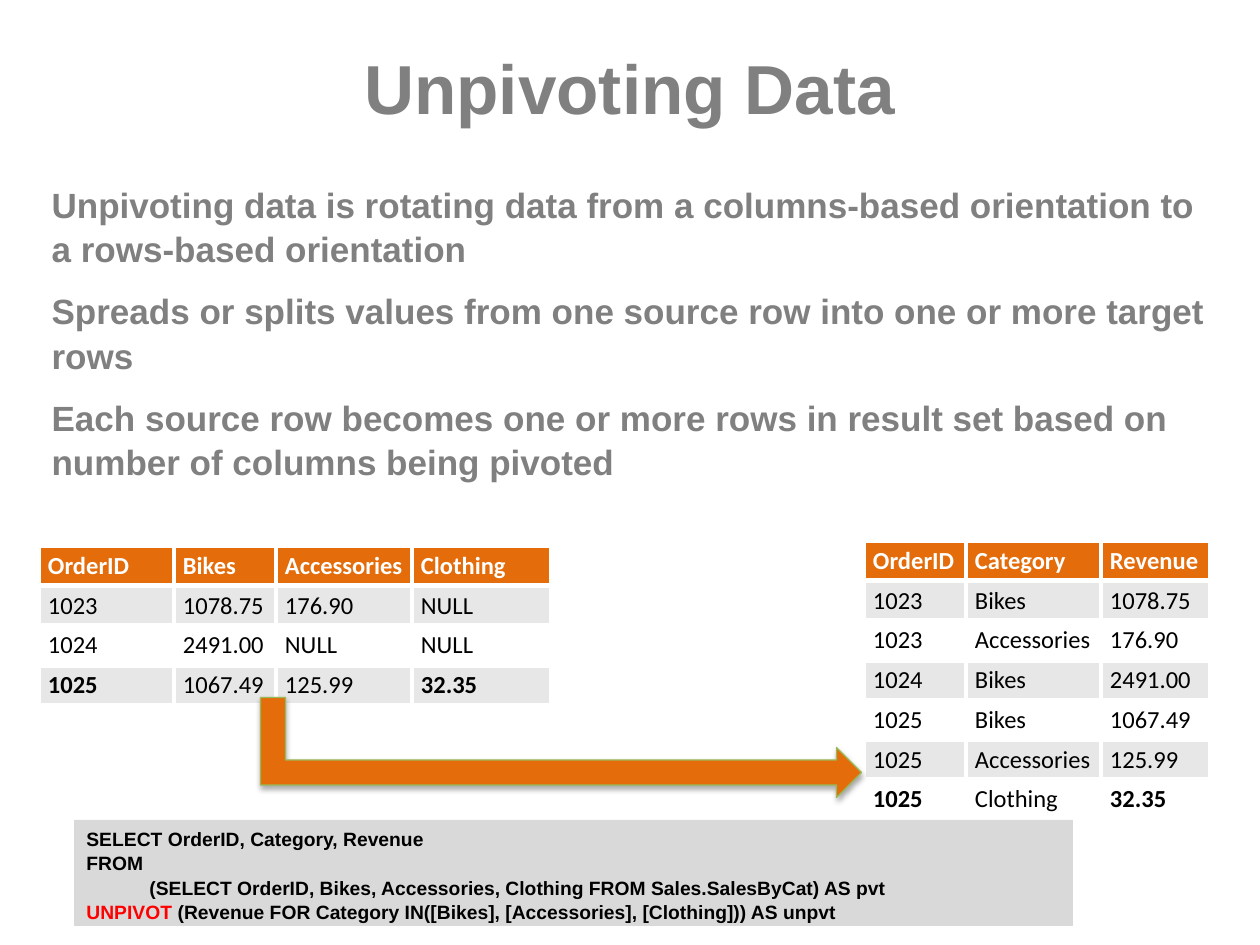
from lxml.etree import SubElement
from pptx import Presentation
from pptx.dml.color import RGBColor
from pptx.enum.shapes import MSO_SHAPE as Shape
from pptx.enum.text import MSO_ANCHOR as Anchor, MSO_AUTO_SIZE as AutoSize, PP_ALIGN as Align
from pptx.oxml.ns import qn
from pptx.util import Pt

EMU_PER_PX = 914400 / 126
GRAY, ORANGE, BAND, WHITE, BLACK, RED = "808080", "E46C0A", "E7E7E7", "FFFFFF", "000000", "FF0000"
CODE_FILL, ARROW_LINE = "D9D9D9", "98B955"


def px(length):
    return round(length * EMU_PER_PX)


def color(hex_string):
    return RGBColor.from_string(hex_string)


def add_color(parent, hex_string):
    fill = SubElement(parent, qn("a:solidFill"))
    SubElement(fill, qn("a:srgbClr"), val=hex_string)


def write(para, text, *, size, font="Arial", ink=BLACK, bold=True):
    span = para.add_run()
    span.text = text
    span.font.size, span.font.name, span.font.bold = Pt(size), font, bold
    span.font.color.rgb = color(ink)


class SlideBuilder:
    """Holds the current slide and the shared style of its elements."""

    line_spacing = 1.05
    row_height = 39
    cell_inset_x, cell_inset_y = 9, 5
    border_width = Pt(3)

    def __init__(self, slide):
        self.slide = slide

    def place(self, shape, left, top, width, height):
        shape.left, shape.top = px(left), px(top)
        shape.width, shape.height = px(width), px(height)

    def title(self, text, *bounds):
        box = self.slide.shapes.title
        self.place(box, *bounds)
        frame = box.text_frame
        frame.auto_size, frame.vertical_anchor = AutoSize.NONE, Anchor.MIDDLE
        para = frame.paragraphs[0]
        para.alignment = Align.CENTER
        write(para, text, size=39.6, ink=GRAY)

    def body(self, lines, *bounds):
        box = self.slide.placeholders[1]
        self.place(box, *bounds)
        frame = box.text_frame
        frame.auto_size, frame.vertical_anchor = AutoSize.NONE, Anchor.TOP
        for index, line in enumerate(lines):
            para = frame.add_paragraph() if index else frame.paragraphs[0]
            properties = para._p.get_or_add_pPr()
            properties.set("marL", "0")
            properties.set("indent", "0")
            SubElement(properties, qn("a:buNone"))
            para.space_before = Pt(10.5 if index else 0)
            para.line_spacing = self.line_spacing
            write(para, line, size=20, ink=GRAY)

    def table(self, rows, widths, left, top):
        """Draw a banded table whose last row has bold outer cells."""
        frame = self.slide.shapes.add_table(
            len(rows), len(widths), px(left), px(top),
            px(sum(widths)), px(self.row_height * len(rows)))
        table = frame.table
        for column, width in zip(table.columns, widths):
            column.width = px(width)
        for r, values in enumerate(rows):
            table.rows[r].height = px(self.row_height)
            header, last = r == 0, r == len(rows) - 1
            fill = ORANGE if header else BAND if r % 2 else WHITE
            for c, value in enumerate(values):
                outer = c in (0, len(values) - 1)
                cell = table.cell(r, c)
                self.format_cell(cell, fill)
                write(cell.text_frame.paragraphs[0], value, size=14, font="Calibri",
                      ink=WHITE if header else BLACK, bold=header or (last and outer))

    def format_cell(self, cell, fill):
        cell.margin_left = cell.margin_right = px(self.cell_inset_x)
        cell.margin_top = cell.margin_bottom = px(self.cell_inset_y)
        properties = cell._tc.get_or_add_tcPr()
        for side in ("lnL", "lnR", "lnT", "lnB"):
            border = SubElement(properties, qn(f"a:{side}"), w=str(self.border_width))
            add_color(border, WHITE)
        cell.fill.solid()
        cell.fill.fore_color.rgb = color(fill)

    def shape(self, kind, fill, *bounds):
        shape = self.slide.shapes.add_shape(kind, *map(px, bounds))
        shape.shadow.inherit = False
        shape.fill.solid()
        shape.fill.fore_color.rgb = color(fill)
        shape.line.fill.background()
        return shape

    def bent_arrow(self, *bounds):
        arrow = self.shape(Shape.BENT_UP_ARROW, ORANGE, *bounds)
        arrow.rotation = 90
        arrow.line.color.rgb = color(ARROW_LINE)
        arrow.line.width = Pt(0.75)
        effects = arrow._element.spPr.find(qn("a:effectLst"))
        shadow = SubElement(effects, qn("a:outerShdw"), blurRad=str(Pt(3.1)),
                            dist=str(Pt(1.8)), dir="5400000", rotWithShape="0")
        tint = SubElement(shadow, qn("a:srgbClr"), val=BLACK)
        SubElement(tint, qn("a:alpha"), val="35000")

    def code_box(self, lines, *bounds):
        """Draw code; each line is an indent in px and its (text, ink) spans."""
        frame = self.shape(Shape.RECTANGLE, CODE_FILL, *bounds).text_frame
        frame.word_wrap, frame.vertical_anchor = True, Anchor.TOP
        for index, (indent, spans) in enumerate(lines):
            para = frame.add_paragraph() if index else frame.paragraphs[0]
            para.alignment = Align.LEFT
            para.line_spacing = self.line_spacing
            para._p.get_or_add_pPr().set("marL", str(px(indent)))
            for text, ink in spans:
                write(para, text, size=11, ink=ink)


def main():
    deck = Presentation()
    deck.slide_width, deck.slide_height = px(1260), px(945)
    page = SlideBuilder(deck.slides.add_slide(deck.slide_layouts[1]))

    page.title("Unpivoting Data", 63, 38, 1134, 98)
    page.body([
        "Unpivoting data is rotating data from a columns-based orientation to a rows-based orientation",
        "Spreads or splits values from one source row into one or more target rows",
        "Each source row becomes one or more rows in result set based on number of columns being pivoted",
    ], 39, 175, 1191, 318)

    page.table([
        ("OrderID", "Category", "Revenue"),
        ("1023", "Bikes", "1078.75"),
        ("1023", "Accessories", "176.90"),
        ("1024", "Bikes", "2491.00"),
        ("1025", "Bikes", "1067.49"),
        ("1025", "Accessories", "125.99"),
        ("1025", "Clothing", "32.35"),
    ], (102, 135, 109), 864, 541)
    page.table([
        ("OrderID", "Bikes", "Accessories", "Clothing"),
        ("1023", "1078.75", "176.90", "NULL"),
        ("1024", "2491.00", "NULL", "NULL"),
        ("1025", "1067.49", "125.99", "32.35"),
    ], (135, 102, 136, 139), 39, 546)

    page.bent_arrow(511, 447, 100, 601)
    page.code_box([
        (0, [("SELECT OrderID, Category, Revenue", BLACK)]),
        (0, [("FROM", BLACK)]),
        (63, [("(SELECT OrderID, Bikes, Accessories, Clothing FROM Sales.SalesByCat) AS pvt", BLACK)]),
        (0, [("UNPIVOT", RED),
             (" (Revenue FOR Category IN([Bikes], [Accessories], [Clothing])) AS unpvt", BLACK)]),
    ], 74, 820, 999, 106)

    deck.save("out.pptx")


if __name__ == "__main__":
    main()
